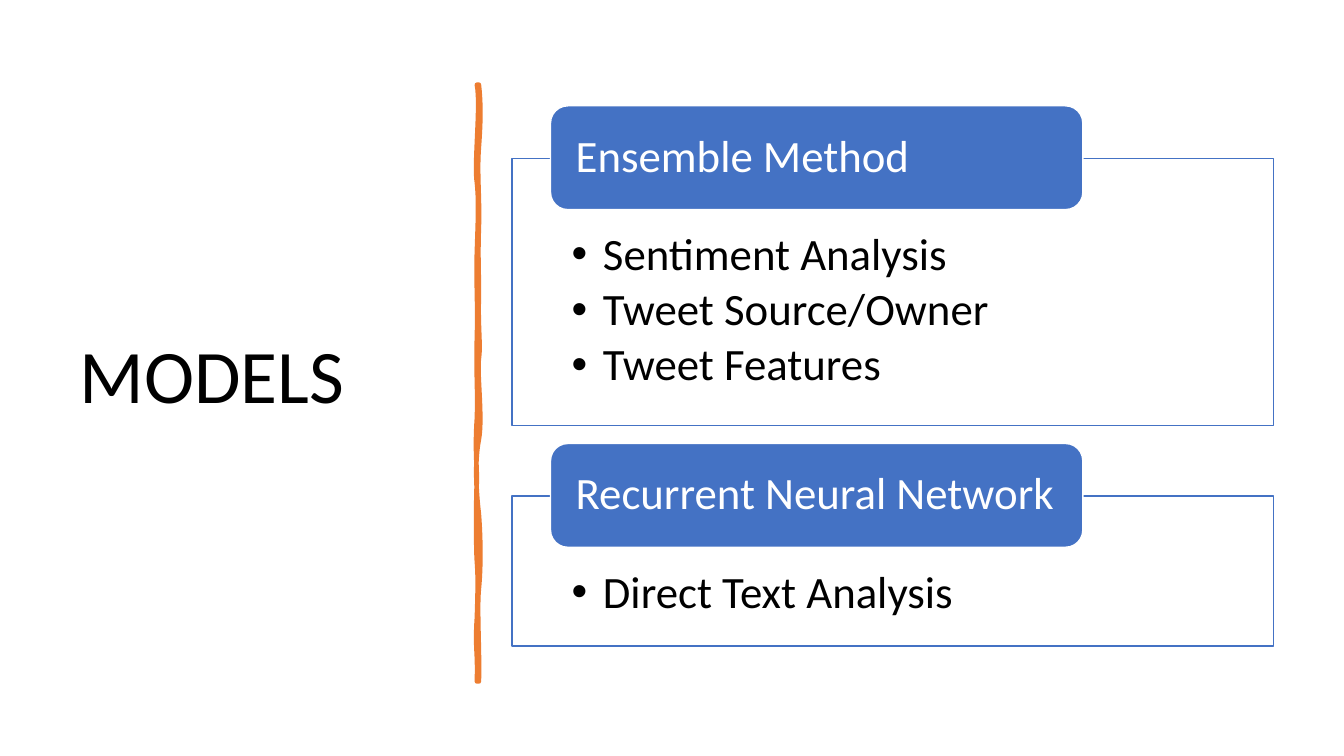
from copy import deepcopy
from dataclasses import dataclass

from lxml.etree import SubElement
from pptx import Presentation
from pptx.dml.color import RGBColor
from pptx.enum.shapes import MSO_SHAPE as Preset
from pptx.enum.text import MSO_ANCHOR as Anchor, PP_ALIGN as Align
from pptx.oxml.ns import qn
from pptx.util import Inches, Pt

Curve = tuple[float, float, float, float, float, float]


@dataclass(frozen=True)
class Theme:
    font: str = "Calibri"
    bullet_font: str = "Arial"
    title_size: int = 54
    body_size: int = 32
    black: str = "000000"
    white: str = "FFFFFF"
    blue: str = "4472C4"
    orange: str = "ED7D31"
    box_line: float = 1
    brush_line: float = 3.25
    line_spacing: float = 0.9
    bullet_gap: float = 4.8


@dataclass(frozen=True)
class Model:
    name: str
    topics: tuple[str, ...]
    panel_height: float


THEME = Theme()
MODELS = (
    Model("Ensemble Method",
          ("Sentiment Analysis", "Tweet Source/Owner", "Tweet Features"), 2.65),
    Model("Recurrent Neural Network", ("Direct Text Analysis",), 1.49),
)

# Model boxes: each heading straddles the top edge of its panel
PANEL_LEFT, PANEL_WIDTH = 5.08, 7.55
HEADING_LEFT, HEADING_WIDTH, HEADING_HEIGHT = 5.46, 5.28, 1.03
FIRST_TOP, HEADING_RISE, MODEL_GAP = 1.05, 0.52, 0.18
BULLET_INDENT = 0.31

# Brush stroke: Bezier segments as control, control, end
BRUSH_START = (4.75, 0.84)
BRUSH_EDGE: tuple[Curve, ...] = (
    (4.77, 1.02, 4.77, 1.19, 4.75, 1.46), (4.73, 1.73, 4.76, 1.95, 4.75, 2.26),
    (4.74, 2.57, 4.75, 2.62, 4.75, 2.94), (4.74, 3.25, 4.77, 3.42, 4.75, 3.56),
    (4.73, 3.7, 4.79, 4.14, 4.75, 4.36), (4.71, 4.57, 4.72, 4.84, 4.75, 5.1),
    (4.77, 5.36, 4.77, 5.64, 4.75, 5.84), (4.73, 6.03, 4.76, 6.5, 4.75, 6.76),
    (4.74, 6.76, 4.73, 6.76, 4.73, 6.76), (4.74, 6.46, 4.71, 6.44, 4.73, 6.13),
    (4.74, 5.83, 4.74, 5.7, 4.73, 5.57), (4.72, 5.44, 4.72, 4.95, 4.73, 4.77),
    (4.73, 4.59, 4.71, 4.45, 4.73, 4.15), (4.74, 3.86, 4.72, 3.73, 4.73, 3.35),
    (4.74, 2.98, 4.72, 2.81, 4.73, 2.5), (4.74, 2.18, 4.75, 2, 4.73, 1.81),
    (4.7, 1.63, 4.77, 1.04, 4.73, 0.84), (4.74, 0.84, 4.74, 0.84, 4.75, 0.84),
)
BRUSH_BODY: tuple[Curve, ...] = (
    (4.75, 1.15, 4.72, 1.25, 4.75, 1.52), (4.77, 1.79, 4.74, 1.97, 4.75, 2.08),
    (4.76, 2.2, 4.74, 2.55, 4.75, 2.94), (4.76, 3.33, 4.73, 3.43, 4.75, 3.62),
    (4.77, 3.81, 4.77, 3.97, 4.75, 4.3), (4.72, 4.63, 4.75, 4.74, 4.75, 5.16),
    (4.75, 5.57, 4.74, 5.53, 4.75, 5.78), (4.76, 6.03, 4.74, 6.47, 4.75, 6.76),
    (4.74, 6.75, 4.73, 6.75, 4.73, 6.76), (4.7, 6.49, 4.74, 6.32, 4.73, 6.13),
    (4.72, 5.95, 4.75, 5.69, 4.73, 5.39), (4.71, 5.1, 4.76, 5, 4.73, 4.71),
    (4.7, 4.42, 4.77, 4.2, 4.73, 3.86), (4.69, 3.51, 4.74, 3.25, 4.73, 3),
    (4.71, 2.75, 4.71, 2.59, 4.73, 2.38), (4.74, 2.16, 4.74, 1.85, 4.73, 1.64),
    (4.71, 1.43, 4.75, 1.21, 4.73, 0.84), (4.74, 0.84, 4.74, 0.84, 4.75, 0.84),
)


def apply_format(target, values: dict) -> None:
    for name, value in values.items():
        setattr(target, name, value)


def paint(shape, fill: str, line: str, width: float) -> None:
    shape.shadow.inherit = False
    shape.fill.solid()
    shape.fill.fore_color.rgb = RGBColor.from_string(fill)
    shape.line.color.rgb = RGBColor.from_string(line)
    shape.line.width = Pt(width)


def write(shape, lines: tuple[str, ...], size: float, color: str,
          anchor: Anchor, insets: tuple[float, float, float, float],
          bulleted: bool = False) -> None:
    left, top, right, bottom = map(Inches, insets)
    frame = shape.text_frame
    apply_format(frame, {
        "word_wrap": True, "vertical_anchor": anchor, "margin_left": left,
        "margin_top": top, "margin_right": right, "margin_bottom": bottom})
    for index, line in enumerate(lines):
        paragraph = frame.paragraphs[0] if index == 0 else frame.add_paragraph()
        apply_format(paragraph, {
            "alignment": Align.LEFT, "line_spacing": THEME.line_spacing,
            "space_after": Pt(THEME.bullet_gap if bulleted else 0)})
        run = paragraph.add_run()
        run.text = line
        apply_format(run.font, {"name": THEME.font, "size": Pt(size)})
        run.font.color.rgb = RGBColor.from_string(color)
        if bulleted:
            paragraph.level = 1
            props = paragraph._p.get_or_add_pPr()
            props.set("marL", str(Inches(BULLET_INDENT)))
            props.set("indent", str(-Inches(BULLET_INDENT)))
            SubElement(props, qn("a:buFont"), typeface=THEME.bullet_font)
            SubElement(props, qn("a:buChar"), char="•")


def draw_brush(shapes) -> None:
    """Draw the divider: a stroked edge over a filled body, in one shape."""
    start_x, start_y = map(Inches, BRUSH_START)
    builder = shapes.build_freeform(start_x, start_y, scale=1.0)
    for contour in (BRUSH_EDGE, BRUSH_BODY):
        if contour is BRUSH_BODY:
            builder.move_to(start_x, start_y)
        points = [(Inches(curve[i]), Inches(curve[i + 1]))
                  for curve in contour for i in (0, 2, 4)]
        builder.add_line_segments(points, close=True)
    brush = builder.convert_to_shape()
    paint(brush, THEME.orange, THEME.orange, THEME.brush_line)

    # Turn every three points into one Bezier segment
    edge = next(brush._element.iter(qn("a:path")))
    corners = edge.findall(qn("a:lnTo"))
    for first in range(0, len(corners), 3):
        segment = SubElement(edge, qn("a:cubicBezTo"))
        corners[first].addprevious(segment)
        for corner in corners[first:first + 3]:
            segment.append(corner[0])
            edge.remove(corner)

    # Give edge and body their own outlines
    body = deepcopy(edge)
    edge.addnext(body)
    half = len(edge) // 2
    for part in edge[half:]:
        edge.remove(part)
    for part in body[:half]:
        body.remove(part)
    edge.set("fill", "none")
    body.set("stroke", "0")


def draw_model(shapes, model: Model, top: float) -> float:
    """Draw one model and return the bottom of its panel."""
    panel_top = top + HEADING_RISE
    panel = shapes.add_shape(Preset.RECTANGLE, *map(Inches, (
        PANEL_LEFT, panel_top, PANEL_WIDTH, model.panel_height)))
    paint(panel, THEME.white, THEME.blue, THEME.box_line)
    panel_color = panel.fill._xPr.find(qn("a:solidFill"))[0]
    SubElement(panel_color, qn("a:alpha"), val="90000")
    write(panel, model.topics, THEME.body_size, THEME.black, Anchor.TOP,
          (0.59, 0.73, 0.59, 0.25), bulleted=True)

    heading = shapes.add_shape(Preset.ROUNDED_RECTANGLE, *map(Inches, (
        HEADING_LEFT, top, HEADING_WIDTH, HEADING_HEIGHT)))
    paint(heading, THEME.blue, THEME.white, THEME.box_line)
    write(heading, (model.name,), THEME.body_size, THEME.white, Anchor.MIDDLE,
          (0.2, 0, 0.2, 0))
    return panel_top + model.panel_height


def main() -> None:
    deck = Presentation()
    apply_format(deck, {"slide_width": Inches(13.33), "slide_height": Inches(7.5)})
    shapes = deck.slides.add_slide(deck.slide_layouts[6]).shapes

    # Title
    title = shapes.add_textbox(*map(Inches, (0.69, 0.7, 3.74, 6.11)))
    write(title, ("MODELS",), THEME.title_size, THEME.black, Anchor.MIDDLE,
          (0.1, 0.05, 0.1, 0.05))

    # Hand-drawn divider
    draw_brush(shapes)

    # Models, stacked downwards
    top = FIRST_TOP
    for model in MODELS:
        top = draw_model(shapes, model, top) + MODEL_GAP

    deck.save("out.pptx")


if __name__ == "__main__":
    main()
